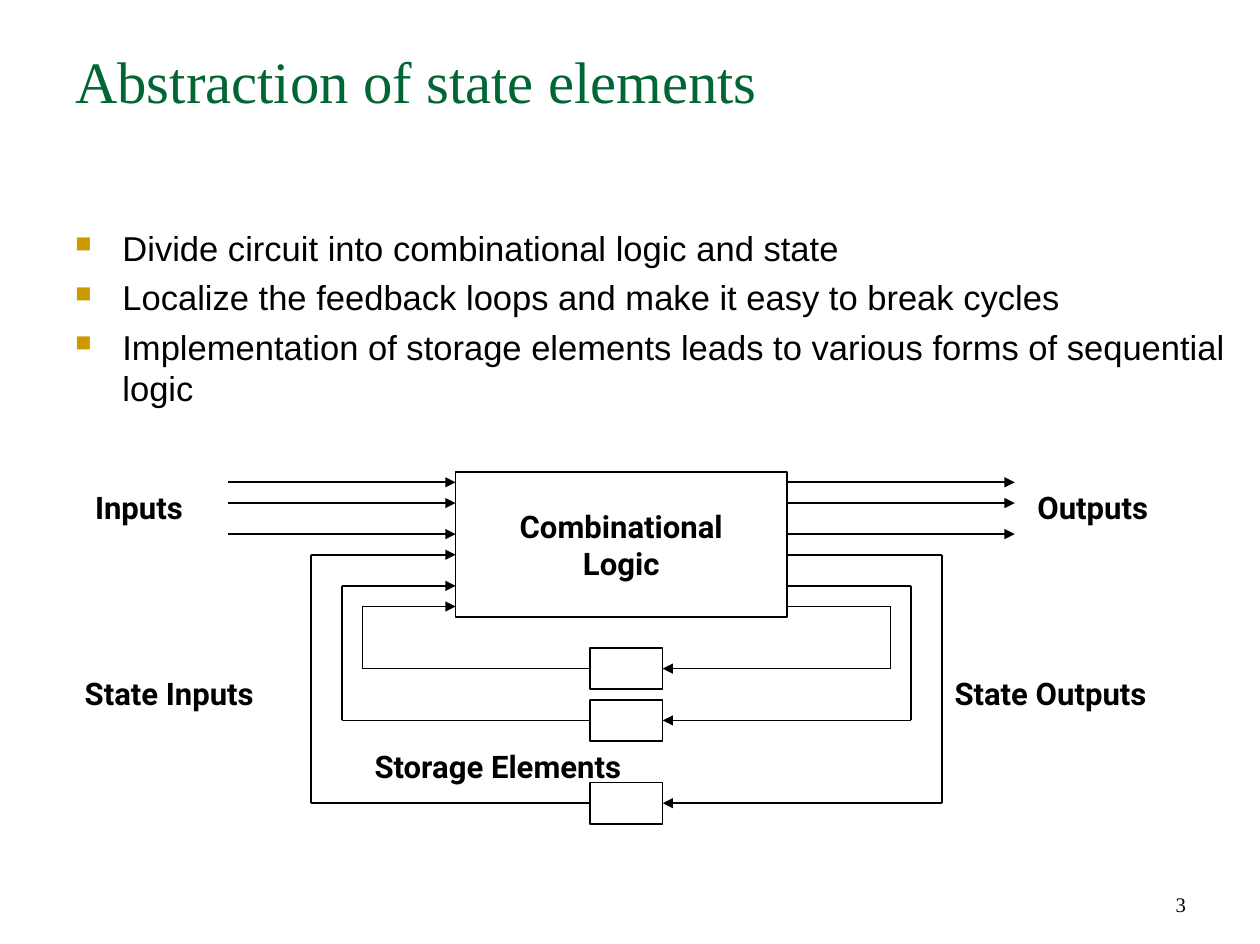
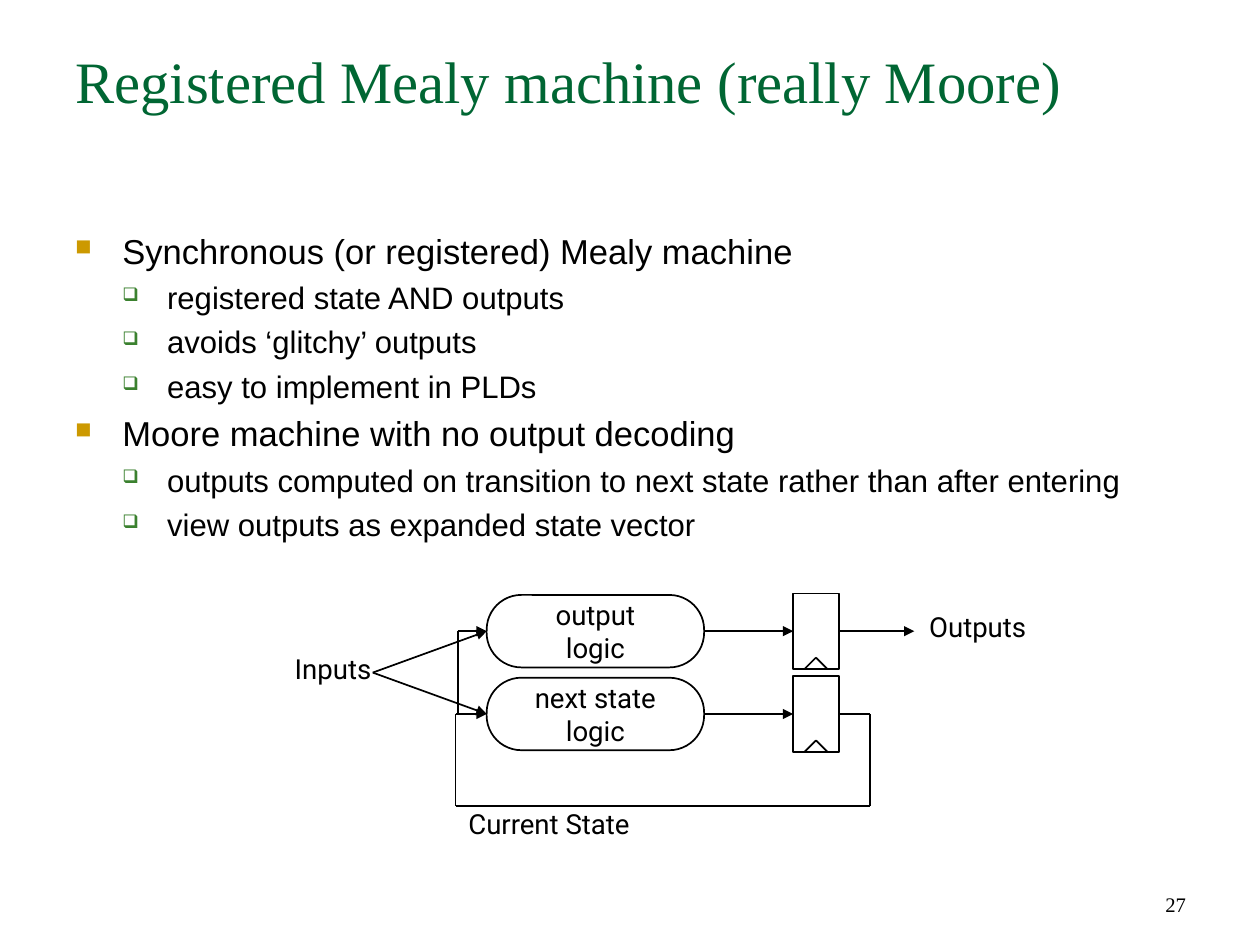
from copy import deepcopy
from dataclasses import dataclass
from typing import NamedTuple

from lxml.etree import SubElement
from pptx import Presentation
from pptx.dml.color import RGBColor
from pptx.enum.shapes import MSO_CONNECTOR, MSO_SHAPE as Preset
from pptx.enum.text import MSO_ANCHOR as Anchor, MSO_AUTO_SIZE, PP_ALIGN as Align
from pptx.oxml.ns import qn
from pptx.util import Inches, Pt

# Shared look
WIDTH, HEIGHT = 10.14, 7.6
CELLS_PER_INCH = 12
BLACK, GREEN = "000000", "006633"
SERIF, SANS, DIAGRAM = "Times New Roman", "Arial", "Roboto"
TITLE_ONLY = 5


class Level(NamedTuple):
    size: int
    margin: float
    hanging: float
    bullet: str
    color: str
    percent: int


LEVELS = (
    Level(20, 0.38, 0.38, "■", "CC9900", 65),
    Level(18, 0.74, 0.36, "❑", "3B812F", 60),
)


class Point(NamedTuple):
    col: float
    row: float


@dataclass
class Label:
    text: str
    col: float
    row: float
    cols: float
    align: Align = Align.LEFT


@dataclass
class Loop:
    left: float
    right: float
    port_row: float
    store_row: float


def rgb(color: str) -> RGBColor:
    return RGBColor.from_string(color)


def share(left: float, top: float, width: float, height: float) -> tuple:
    """Turn shares of the slide into lengths."""
    return (Inches(left * WIDTH), Inches(top * HEIGHT),
            Inches(width * WIDTH), Inches(height * HEIGHT))


# Text
def write(paragraph, text: str, *, size: float, font: str, color: str = BLACK,
          bold: bool = False, align: Align = Align.LEFT, spacing: float = 0) -> None:
    paragraph.text = text
    paragraph.alignment = align
    if spacing:
        paragraph.line_spacing = Pt(spacing)
    for run in paragraph.runs:
        run.font.size, run.font.name, run.font.bold = Pt(size), font, bold
        run.font.color.rgb = rgb(color)
    for line_break in paragraph._p.findall(qn("a:br")):
        line_break.insert(0, deepcopy(paragraph.runs[0]._r.rPr))


def set_frame(frame, anchor: Anchor = Anchor.TOP, inset: tuple = (0.1, 0.05)) -> None:
    frame.word_wrap = True
    frame.auto_size = MSO_AUTO_SIZE.NONE
    frame.vertical_anchor = anchor
    frame.margin_left = frame.margin_right = Inches(inset[0])
    frame.margin_top = frame.margin_bottom = Inches(inset[1])


def add_bullet(paragraph, level: Level) -> None:
    props = paragraph._p.get_or_add_pPr()
    props.set("marL", str(Inches(level.margin)))
    props.set("indent", str(-Inches(level.hanging)))
    color = SubElement(props, qn("a:buClr"))
    SubElement(color, qn("a:srgbClr"), val=level.color)
    SubElement(props, qn("a:buSzPct"), val=str(level.percent * 1000))
    SubElement(props, qn("a:buChar"), char=level.bullet)


def add_bullets(slide, box: tuple, items: list[tuple[int, str]]) -> None:
    frame = slide.shapes.add_textbox(*share(*box)).text_frame
    set_frame(frame)
    for index, (depth, text) in enumerate(items):
        paragraph = frame.add_paragraph() if index else frame.paragraphs[0]
        level = LEVELS[depth]
        add_bullet(paragraph, level)
        if index:
            paragraph.space_before = Pt(0.23 * level.size)
        write(paragraph, text, size=level.size, font=SANS)


def start_slide(deck, heading: str, number: int):
    slide = deck.slides.add_slide(deck.slide_layouts[TITLE_ONLY])
    title = slide.shapes.title
    title.left, title.top, title.width, title.height = share(0.05, 0.041, 0.9, 0.166)
    set_frame(title.text_frame)
    write(title.text_frame.paragraphs[0], heading, size=34, font=SERIF, color=GREEN)
    page = slide.shapes.add_textbox(*share(0.717, 0.91, 0.234, 0.067)).text_frame
    set_frame(page, Anchor.BOTTOM)
    write(page.paragraphs[0], str(number), size=12, font=SERIF, align=Align.RIGHT)
    return slide


# Diagram parts, placed in cells of a grid that starts at a given height
@dataclass
class Diagram:
    slide: object
    top: float

    def x(self, col: float) -> int:
        return Inches(col / CELLS_PER_INCH)

    def y(self, row: float) -> int:
        return Inches(self.top + row / CELLS_PER_INCH)

    def block(self, col: float, row: float, cols: float, rows: float, text: str = "",
              preset: Preset = Preset.RECTANGLE, size: float = 18, bold: bool = False):
        shape = self.slide.shapes.add_shape(
            preset, self.x(col), self.y(row), self.x(cols), self.x(rows))
        shape.shadow.inherit = False
        shape.fill.background()
        shape.line.color.rgb = rgb(BLACK)
        shape.line.width = Pt(1)
        if text:
            set_frame(shape.text_frame, Anchor.MIDDLE)
            write(shape.text_frame.paragraphs[0], text, size=size, font=DIAGRAM,
                  bold=bold, align=Align.CENTER)
        return shape

    def wire(self, *points: tuple[float, float], arrow: bool = True) -> None:
        """Join points with straight segments; the last may carry an arrowhead."""
        stops = [Point(*point) for point in points]
        for start, end in zip(stops, stops[1:]):
            segment = self.slide.shapes.add_connector(
                MSO_CONNECTOR.STRAIGHT, self.x(start.col), self.y(start.row),
                self.x(end.col), self.y(end.row))
            segment.line.color.rgb = rgb(BLACK)
            segment.line.width = Pt(1)
            SubElement(segment._element.spPr, qn("a:effectLst"))
        if arrow:
            SubElement(segment.line._get_or_add_ln(), qn("a:tailEnd"), type="triangle")

    def label(self, label: Label, rows: float, inset: tuple = (0.1, 0.05),
              **style) -> None:
        frame = self.slide.shapes.add_textbox(
            self.x(label.col), self.y(label.row),
            self.x(label.cols), self.x(rows)).text_frame
        set_frame(frame, inset=inset)
        write(frame.paragraphs[0], label.text, font=DIAGRAM, align=label.align, **style)


# Slide: state elements
def build_state_elements(deck) -> None:
    slide = start_slide(deck, "Abstraction of state elements", 3)
    add_bullets(slide, (0.05, 0.234, 0.95, 0.65), [
        (0, "Divide circuit into combinational logic and state"),
        (0, "Localize the feedback loops and make it easy to break cycles"),
        (0, "Implementation of storage elements leads to various forms of "
            "sequential logic"),
    ])
    diagram = Diagram(slide, 3.8)
    logic_left, logic_right = 44, 76
    store_left, store_right = 57, 64
    diagram.block(logic_left, 0, logic_right - logic_left, 14,
                  "Combinational\nLogic", bold=True)

    for row in (1, 3, 6):
        diagram.wire((22, row), (logic_left, row))
        diagram.wire((logic_right, row), (98, row))

    for loop in (Loop(30, 91, 8, 32), Loop(33, 88, 11, 24), Loop(35, 86, 13, 19)):
        diagram.block(store_left, loop.store_row - 2, store_right - store_left, 4)
        diagram.wire((logic_right, loop.port_row), (loop.right, loop.port_row),
                     (loop.right, loop.store_row), (store_right, loop.store_row))
        diagram.wire((store_left, loop.store_row), (loop.left, loop.store_row),
                     (loop.left, loop.port_row), (logic_left, loop.port_row))

    for label in (
        Label("Storage Elements", 35, 26, 29),
        Label("Outputs", 99, 1, 14.5),
        Label("State Outputs", 91, 19, 23.4),
        Label("State Inputs", 7, 19, 21.2),
        Label("Inputs", 8, 1, 12.4),
    ):
        diagram.label(label, 4.8, size=18, bold=True)


# Slide: registered Mealy machine
def build_mealy_machine(deck) -> None:
    slide = start_slide(deck, "Registered Mealy machine (really Moore)", 27)
    add_bullets(slide, (0.05, 0.237, 0.9, 0.66), [
        (0, "Synchronous (or registered) Mealy machine"),
        (1, "registered state AND outputs"),
        (1, "avoids ‘glitchy’ outputs"),
        (1, "easy to implement in PLDs"),
        (0, "Moore machine with no output decoding"),
        (1, "outputs computed on transition to next state rather than after entering"),
        (1, "view outputs as expanded state vector"),
    ])
    diagram = Diagram(slide, 4.79)
    logic_left, logic_right = 47, 68
    register_left, register_right = 76.6, 81
    clock = (register_left + register_right) / 2
    output_row, state_row = 3.5, 11.5

    for label in (
        Label("Inputs", 24, 6, 12.1, Align.RIGHT),
        Label("Outputs", 89.5, 2, 17.3),
        Label("Current State", 45, 21, 18.4),
    ):
        diagram.label(label, 4, inset=(0.02, 0.03), size=16, spacing=13.9)

    # Logic, register and clock mark of each row
    for row, text in ((output_row, "output\nlogic"), (state_row, "next state\nlogic")):
        logic = diagram.block(logic_left, row - 3.5, logic_right - logic_left, 7, text,
                              preset=Preset.ROUNDED_RECTANGLE, size=16)
        logic.adjustments[0] = 0.479
        diagram.wire((36, (output_row + state_row) / 2), (logic_left, row))
        diagram.wire((logic_right, row), (register_left, row))
        bottom = row + 3.65
        diagram.block(register_left, bottom - 7.3, register_right - register_left, 7.3)
        diagram.wire((clock - 1.1, bottom), (clock, bottom - 1.1),
                     (clock + 1.1, bottom), arrow=False)

    # Output and state feedback
    diagram.wire((register_right, output_row), (88.3, output_row))
    diagram.wire((register_right, state_row), (84, state_row), (84, 20.4),
                 (44, 20.4), (44, state_row), (logic_left, state_row))
    diagram.wire((44.2, state_row), (44.2, output_row), (logic_left, output_row))


def main() -> None:
    deck = Presentation()
    deck.slide_width, deck.slide_height = Inches(WIDTH), Inches(HEIGHT)
    build_state_elements(deck)
    build_mealy_machine(deck)
    deck.save("out.pptx")


if __name__ == "__main__":
    main()
